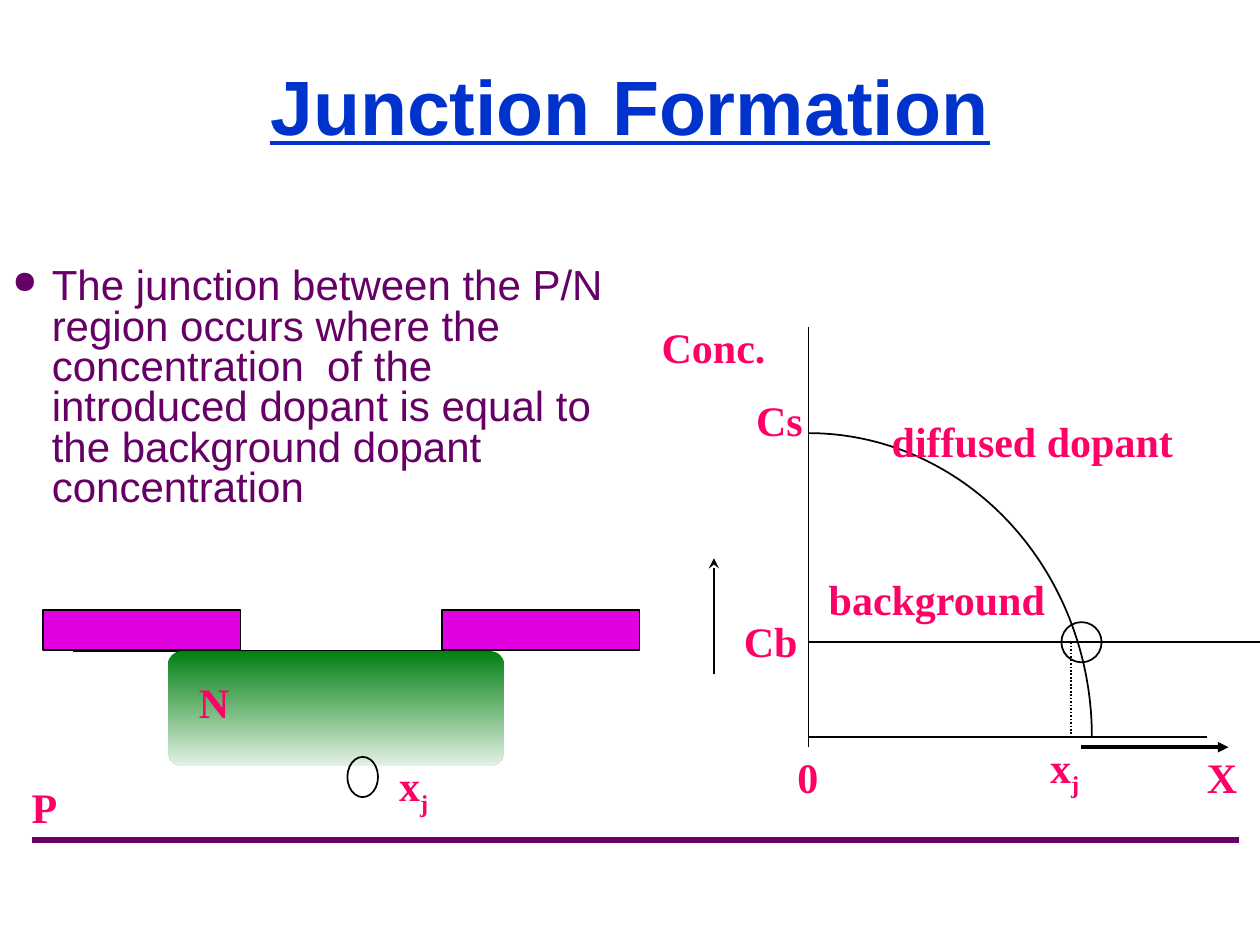
from dataclasses import dataclass

from lxml import etree
from pptx import Presentation
from pptx import util as u
from pptx.dml.color import RGBColor
from pptx.enum import dml, shapes, text
from pptx.oxml import ns


@dataclass(frozen=True)
class Theme:
    title: str = "0033CC"
    body: str = "660066"
    label: str = "FF0066"
    ink: str = "000000"
    mask: str = "E000E0"
    diffused_top: str = "008011"
    diffused_bottom: str = "E4F1E5"
    sans: str = "Arial"
    serif: str = "Times New Roman"
    title_size: int = 44
    text_size: int = 24


THEME = Theme()
SHAPE = shapes.MSO_SHAPE


def colour(code):
    return RGBColor.from_string(code)


def add_child(parent, tag, **attributes):
    return etree.SubElement(parent, ns.qn(tag), attributes)


def add_run(para, words, font_name, size, code, bold=False):
    run = para.add_run()
    run.text = words
    run.font.name = font_name
    run.font.size = u.Pt(size)
    run.font.bold = bold
    run.font.color.rgb = colour(code)
    return run


def add_line(page, box, start, end, width=1, code=THEME.ink, head=None, dash=None):
    left, top = box[:2]
    line = page.shapes.add_connector(
        shapes.MSO_CONNECTOR.STRAIGHT,
        u.Pt(left + start[0]), u.Pt(top + start[1]),
        u.Pt(left + end[0]), u.Pt(top + end[1]))
    line.line.width = u.Pt(width)
    line.line.color.rgb = colour(code)
    if dash:
        line.line.dash_style = dash
    if head:
        add_child(line.line._get_or_add_ln(), "a:tailEnd", type=head)
    add_child(line._element.spPr, "a:effectLst")


def add_figure(page, box, kind, x, y, width, height, fill=None):
    figure = page.shapes.add_shape(
        kind, u.Pt(box[0] + x), u.Pt(box[1] + y), u.Pt(width), u.Pt(height))
    figure.shadow.inherit = False
    figure.line.color.rgb = colour(THEME.ink)
    figure.line.width = u.Pt(1)
    if fill:
        figure.fill.solid()
        figure.fill.fore_color.rgb = colour(fill)
    else:
        figure.fill.background()
    return figure


def add_label(page, box, words, x, y, width, subscript=None):
    label = page.shapes.add_textbox(
        u.Pt(box[0] + x), u.Pt(box[1] + y), u.Pt(width),
        u.Pt(40 if subscript else 36))
    frame = label.text_frame
    frame.word_wrap = False
    frame.auto_size = text.MSO_AUTO_SIZE.SHAPE_TO_FIT_TEXT
    style = (THEME.serif, THEME.text_size, THEME.label, True)
    para = frame.paragraphs[0]
    add_run(para, words, *style)
    if subscript:
        span = add_run(para, subscript, *style)
        span._r.get_or_add_rPr().set("baseline", "-25000")


def place_title(page, box):
    title = page.shapes.title
    title.left, title.top, title.width, title.height = map(u.Pt, box)
    frame = title.text_frame
    frame.vertical_anchor = text.MSO_ANCHOR.MIDDLE
    para = frame.paragraphs[0]
    para.alignment = text.PP_ALIGN.CENTER
    para.line_spacing = 0.9
    span = add_run(para, "Junction Formation", THEME.sans, THEME.title_size,
                   THEME.title, True)
    span.font.underline = True


def place_body(page, box):
    frame = page.shapes.add_textbox(*map(u.Pt, box)).text_frame
    frame.word_wrap = True
    para = frame.paragraphs[0]
    # Bullet with a hanging indent
    properties = para._p.get_or_add_pPr()
    properties.set("marL", str(u.Pt(22.5)))
    properties.set("indent", str(u.Pt(-22.5)))
    bullet_colour = add_child(properties, "a:buClr")
    add_child(bullet_colour, "a:srgbClr", val=THEME.body)
    add_child(properties, "a:buSzPct", val="75000")
    add_child(properties, "a:buChar", char="●")
    para.line_spacing = 0.8
    add_run(para, "The junction between the P/N region occurs where the "
            "concentration  of the introduced dopant is equal to the "
            "background dopant concentration",
            THEME.sans, THEME.text_size, THEME.body)


def place_profile(page, box):
    """Concentration against depth."""
    axis_x, base_y, background_y, junction_x = 92, 241, 187, 242
    # Axes and their direction arrows
    add_line(page, box, (axis_x, 7), (axis_x, 247))
    add_line(page, box, (axis_x, base_y), (320, base_y))
    add_line(page, box, (38, 205), (38, 139), head="stealth")
    add_line(page, box, (248, 247), (332, 247), width=2, head="triangle")
    # Quarter arc of the diffused dopant, centred on the origin
    radius_x, radius_y = 162, 173.5
    add_figure(page, box, SHAPE.ARC, axis_x - radius_x, base_y - radius_y,
               2 * radius_x, 2 * radius_y)
    # Background level and junction depth
    add_line(page, box, (axis_x, background_y), (box[2], background_y))
    add_line(page, box, (junction_x, background_y), (junction_x, base_y),
             dash=dml.MSO_LINE.ROUND_DOT)
    add_figure(page, box, SHAPE.OVAL, 236.5, 175.5, 23, 23)
    for label in (("X", 312.5, 246, 32), ("Conc.", 1, 0, 74),
                  ("Cs", 55, 42, 41), ("0", 78.5, 246, 27),
                  ("x", 223, 240, 31, "j"), ("diffused dopant", 132.5, 54, 175),
                  ("background", 96.5, 144, 139), ("Cb", 48, 168, 45)):
        add_label(page, box, *label)


def place_cross_section(page, box):
    """Masked wafer with its diffused region."""
    surface_y = 24
    for x in (14.5, 242.5):
        add_figure(page, box, SHAPE.RECTANGLE, x, 0.5, 113, 23, THEME.mask)
    add_line(page, box, (32, surface_y), (260, surface_y))
    # Diffused region, fading with depth
    region = add_figure(page, box, SHAPE.ROUNDED_RECTANGLE, 86, surface_y, 192, 66)
    region.adjustments[0] = 0.125
    region.line.fill.background()
    region.fill.gradient()
    region.fill.gradient_angle = 270
    stops = region.fill.gradient_stops
    for stop, position, code in zip(
            stops, (0, 1), (THEME.diffused_top, THEME.diffused_bottom)):
        stop.position = position
        stop.color.rgb = colour(code)
    # Junction marker and labels
    add_figure(page, box, SHAPE.OVAL, 188.5, 84.5, 17.5, 23)
    for label in (("x", 211, 82.5, 31, "j"), ("N", 96.5, 35, 32),
                  ("P", 1, 95, 29.5)):
        add_label(page, box, *label)


def main():
    deck = Presentation()
    deck.slide_width, deck.slide_height = u.Pt(720), u.Pt(540)
    page = deck.slides.add_slide(deck.slide_layouts[5])
    # Footer rule
    add_line(page, (18, 480), (0, 0), (690, 0), width=3, code=THEME.body)
    place_title(page, (30, 18, 660, 90))
    place_body(page, (0, 150, 356, 156))
    place_profile(page, (370, 180, 350, 285))
    place_cross_section(page, (10, 348, 356, 131))
    deck.save("out.pptx")


if __name__ == "__main__":
    main()
